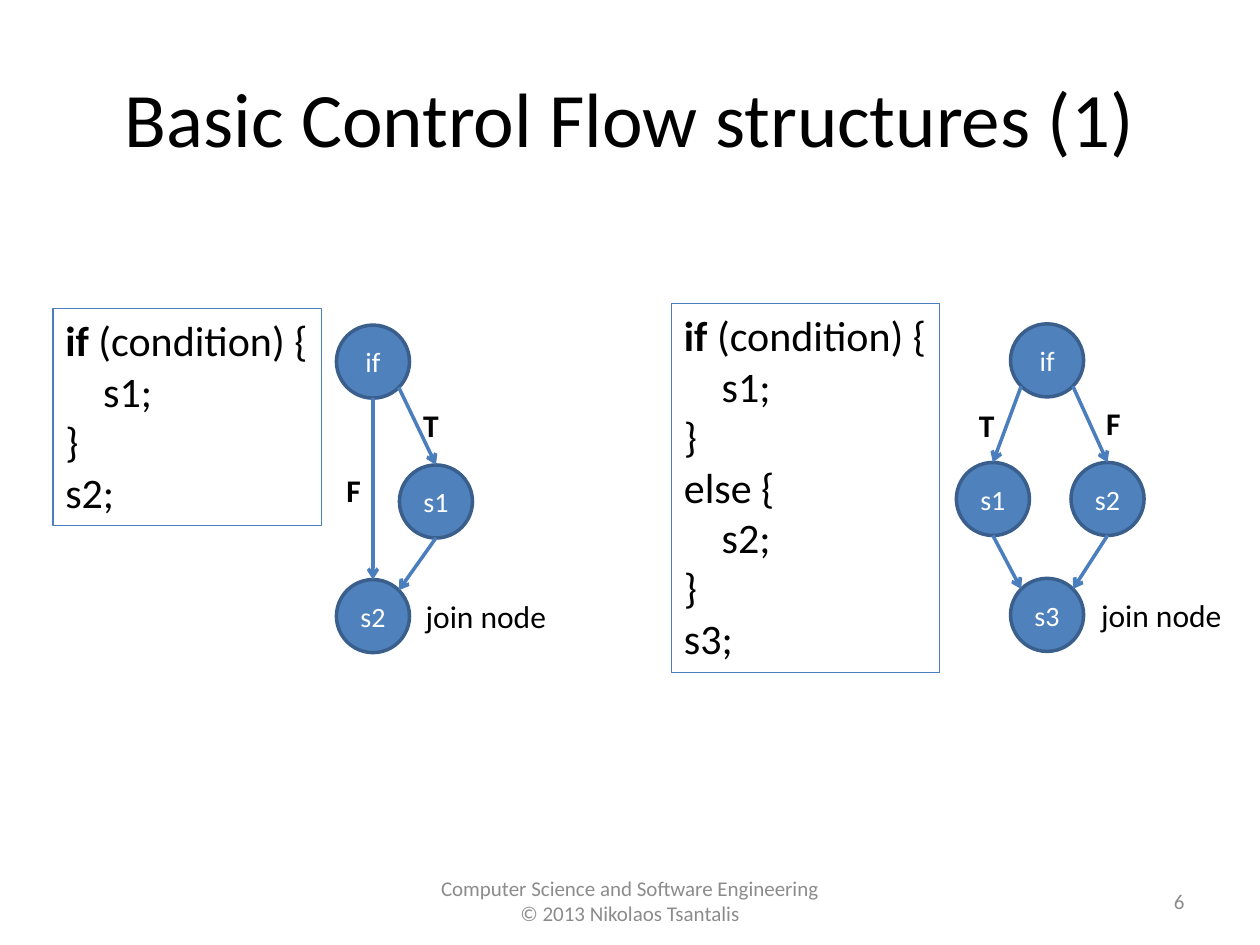
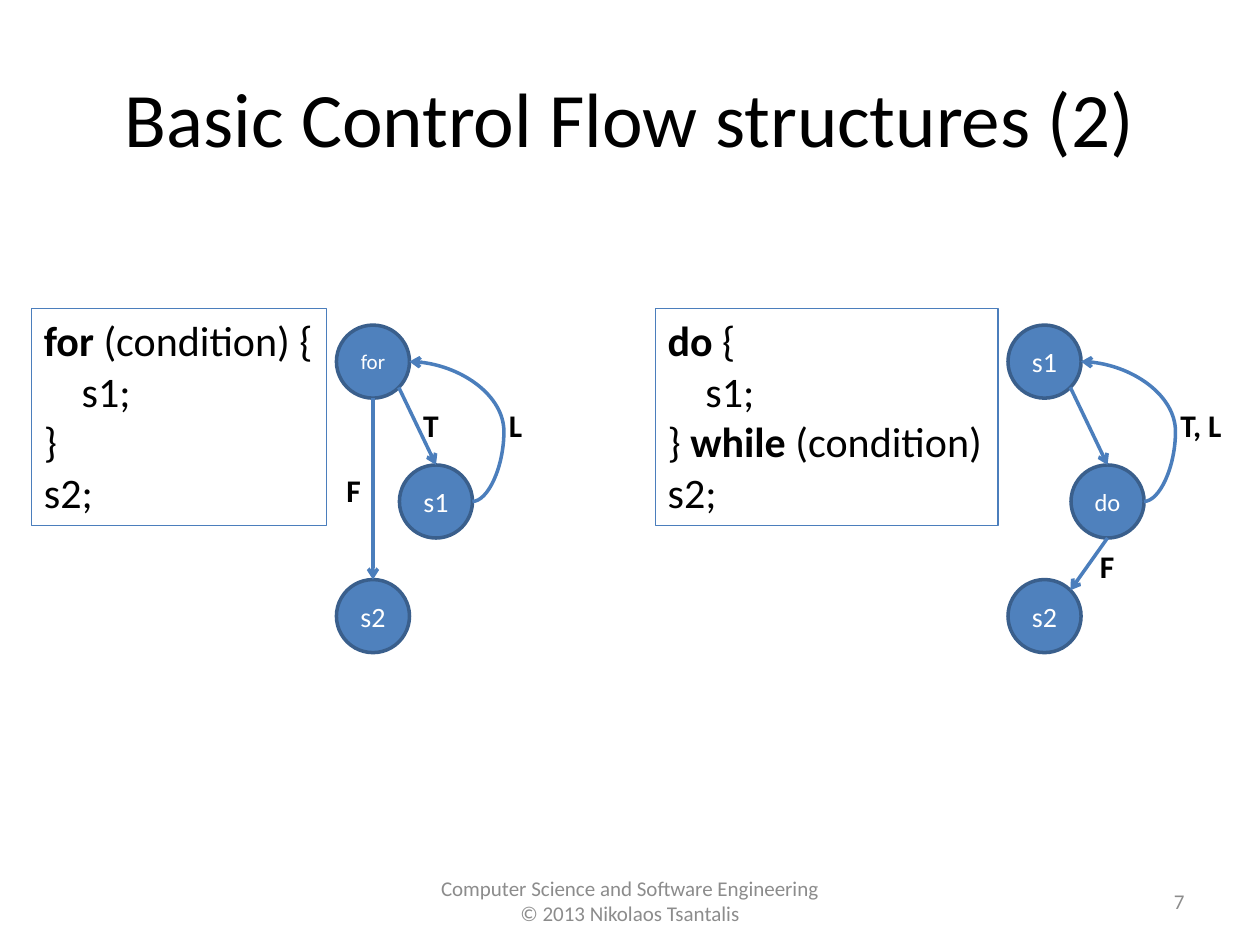
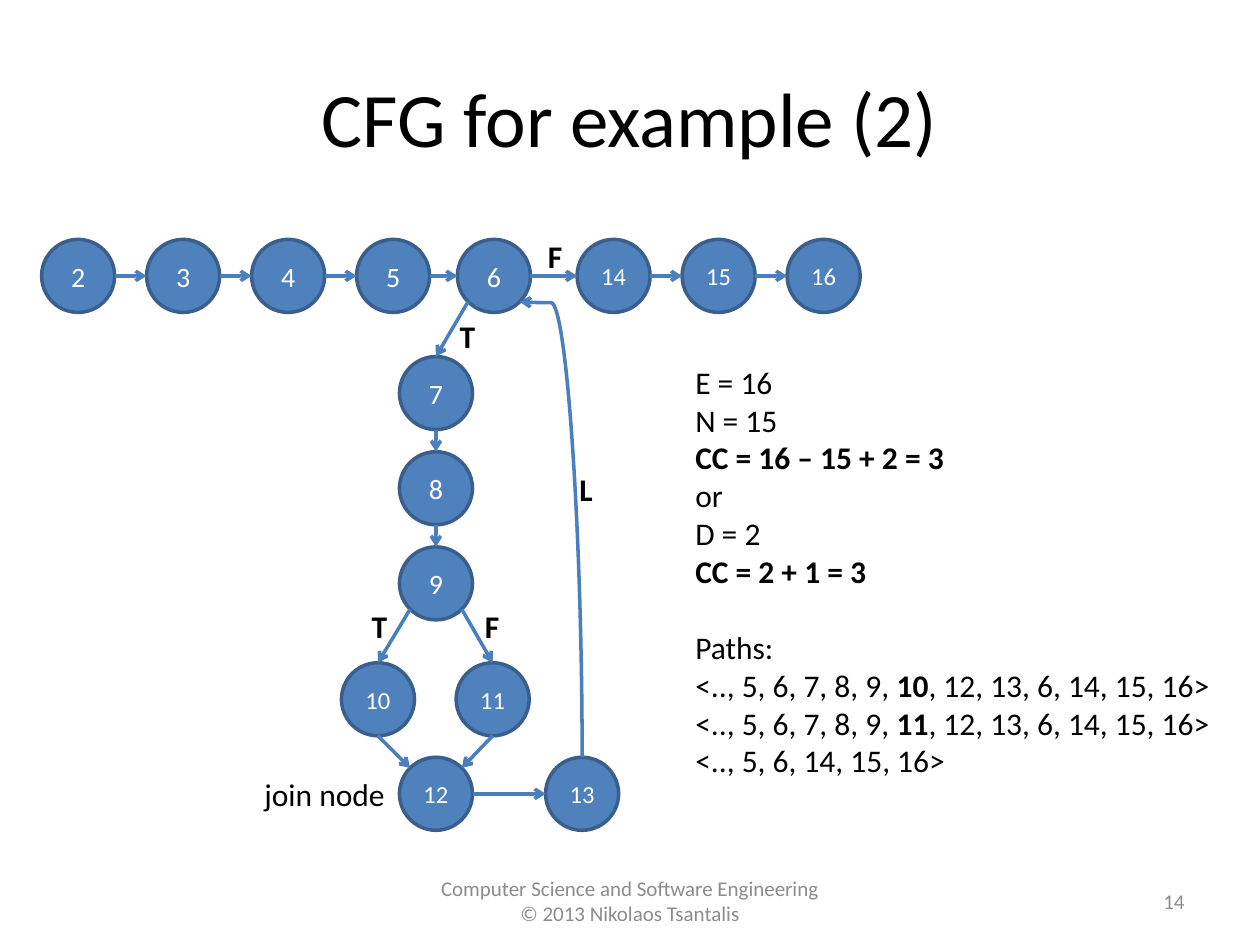
from dataclasses import dataclass, field
from enum import Enum
from itertools import pairwise
from math import sqrt
from typing import NamedTuple

from lxml.etree import SubElement
from pptx import Presentation
from pptx.dml.color import RGBColor
from pptx.enum.shapes import MSO_CONNECTOR, MSO_SHAPE
from pptx.enum.text import MSO_ANCHOR, MSO_AUTO_SIZE, PP_ALIGN
from pptx.oxml.ns import qn
from pptx.shapes.connector import Connector
from pptx.slide import Slide
from pptx.text.text import TextFrame
from pptx.util import Inches, Pt

BLACK = RGBColor(0x00, 0x00, 0x00)
WHITE = RGBColor(0xFF, 0xFF, 0xFF)
GRAY = RGBColor(0x8C, 0x8C, 0x8C)
NODE_FILL = RGBColor(0x4F, 0x81, 0xBD)
NODE_LINE = RGBColor(0x3A, 0x5F, 0x8C)
EDGE_COLOR = RGBColor(0x4B, 0x7E, 0xBC)
FONT = "Calibri"
DIAMETER = 0.58
CODE_INDENT = 0.3
DIAGONAL = sqrt(0.5)
FOOTER = ("Computer Science and Software Engineering", "© 2013 Nikolaos Tsantalis")


class Site(Enum):
    TOP = (0, -1)
    BOTTOM = (0, 1)
    LEFT = (-1, 0)
    RIGHT = (1, 0)
    BOTTOM_LEFT = (-DIAGONAL, DIAGONAL)
    BOTTOM_RIGHT = (DIAGONAL, DIAGONAL)
    TOP_LEFT = (-DIAGONAL, -DIAGONAL)
    TOP_RIGHT = (DIAGONAL, -DIAGONAL)


class Box(NamedTuple):
    left: float
    top: float
    width: float
    height: float


class Line(NamedTuple):
    text: str
    indent: float = 0
    space_before: float = 0


class Node(NamedTuple):
    label: str
    left: float
    top: float
    size: int = 16

    def point(self, site: Site) -> tuple[float, float]:
        radius = DIAMETER / 2
        across, down = site.value
        return self.left + radius * (1 + across), self.top + radius * (1 + down)


class Edge(NamedTuple):
    start: str
    start_site: Site
    end: str
    end_site: Site
    bend: float | None = None
    leaves_upward: bool = False


class Label(NamedTuple):
    text: str
    left: float
    top: float
    width: float = 0.32


class Code(NamedTuple):
    box: Box
    lines: list[Line]


@dataclass
class FlowSlide:
    title: str
    number: int
    nodes: list[list[Node]]
    edges: list[list[Edge]]
    labels: list[Label]
    codes: list[Code] = field(default_factory=list)
    results: list[Line] = field(default_factory=list)


def write(frame: TextFrame, lines: list[Line], size: int, color: RGBColor = BLACK,
          align: PP_ALIGN = PP_ALIGN.LEFT) -> None:
    for index, line in enumerate(lines):
        paragraph = frame.paragraphs[0] if index == 0 else frame.add_paragraph()
        paragraph.alignment = align
        paragraph.font.name = FONT
        paragraph.font.size = Pt(size)
        paragraph.font.color.rgb = color
        if line.space_before:
            paragraph.space_before = Pt(line.space_before)
        if line.indent:
            properties = paragraph._p.get_or_add_pPr()
            properties.set("marL", str(Inches(line.indent)))
            properties.set("indent", "0")
        for position, text in enumerate(line.text.split("**")):
            if text:
                run = paragraph.add_run()
                run.text = text
                run.font.bold = position % 2 == 1


def add_text(slide: Slide, box: Box, lines: list[Line], size: int, color: RGBColor = BLACK,
             align: PP_ALIGN = PP_ALIGN.LEFT, anchor: MSO_ANCHOR = MSO_ANCHOR.TOP,
             wrap: bool = True, outlined: bool = False) -> None:
    shape = slide.shapes.add_textbox(*map(Inches, box))
    frame = shape.text_frame
    frame.word_wrap = wrap
    frame.vertical_anchor = anchor
    if anchor == MSO_ANCHOR.TOP:
        frame.auto_size = MSO_AUTO_SIZE.SHAPE_TO_FIT_TEXT
    if outlined:
        shape.line.color.rgb = EDGE_COLOR
        shape.line.width = Pt(0.75)
    write(frame, lines, size, color, align)


def add_node(slide: Slide, node: Node) -> None:
    shape = slide.shapes.add_shape(
        MSO_SHAPE.OVAL, Inches(node.left), Inches(node.top), Inches(DIAMETER), Inches(DIAMETER))
    shape.shadow.inherit = False
    shape.fill.solid()
    shape.fill.fore_color.rgb = NODE_FILL
    shape.line.color.rgb = NODE_LINE
    shape.line.width = Pt(2)
    shape.text_frame.word_wrap = False
    shape.text_frame.vertical_anchor = MSO_ANCHOR.MIDDLE
    write(shape.text_frame, [Line(node.label)], node.size, WHITE, PP_ALIGN.CENTER)


def style_arrow(connector: Connector) -> None:
    connector.line.color.rgb = EDGE_COLOR
    connector.line.width = Pt(2)
    properties = connector._element.spPr
    SubElement(properties.find(qn("a:ln")), qn("a:tailEnd"), type="arrow")
    SubElement(properties, qn("a:effectLst"))


def add_edge(slide: Slide, edge: Edge, nodes: dict[str, Node]) -> None:
    start = nodes[edge.start].point(edge.start_site)
    end = nodes[edge.end].point(edge.end_site)
    if edge.leaves_upward:
        center_x, center_y = (start[0] + end[0]) / 2, (start[1] + end[1]) / 2
        half_x, half_y = (start[0] - end[0]) / 2, (start[1] - end[1]) / 2
        start = center_x - half_y, center_y + half_x
        end = center_x + half_y, center_y - half_x
    kind = MSO_CONNECTOR.STRAIGHT if edge.bend is None else MSO_CONNECTOR.CURVE
    connector = slide.shapes.add_connector(kind, *map(Inches, start + end))
    style_arrow(connector)
    properties = connector._element.spPr
    if edge.leaves_upward:
        properties.find(qn("a:xfrm")).set("rot", str(270 * 60000))
    if edge.bend is not None:
        geometry = properties.find(qn("a:prstGeom"))
        adjustments = geometry.find(qn("a:avLst"))
        if adjustments is None:
            adjustments = SubElement(geometry, qn("a:avLst"))
        SubElement(adjustments, qn("a:gd"), name="adj1", fmla=f"val {round(edge.bend * 100000)}")


def add_flow_slide(presentation: Presentation, content: FlowSlide) -> None:
    slide = presentation.slides.add_slide(presentation.slide_layouts[6])
    middle = MSO_ANCHOR.MIDDLE
    add_text(slide, Box(0, 6.95, 10, 0.4), [Line(text) for text in FOOTER], 12, GRAY,
             PP_ALIGN.CENTER, middle)
    add_text(slide, Box(0.5, 0.3, 9, 1.25), [Line(content.title)], 44, BLACK,
             PP_ALIGN.CENTER, middle)
    for code in content.codes:
        add_text(slide, code.box, code.lines, 24, wrap=False, outlined=True)
    for graph_nodes, graph_edges in zip(content.nodes, content.edges):
        nodes = {node.label: node for node in graph_nodes}
        for node in graph_nodes:
            add_node(slide, node)
        for edge in graph_edges:
            add_edge(slide, edge, nodes)
    for label in content.labels:
        add_text(slide, Box(label.left, label.top, label.width, 0.4), [Line(label.text)], 18,
                 wrap=False)
    if content.results:
        add_text(slide, Box(5.42, 2.83, 4.5, 3.43), content.results, 18)
    add_text(slide, Box(7.17, 6.95, 2.33, 0.4), [Line(str(content.number))], 12, GRAY,
             PP_ALIGN.RIGHT, middle)


def chain(labels: list[str], start_site: Site, end_site: Site) -> list[Edge]:
    return [Edge(start, start_site, end, end_site) for start, end in pairwise(labels)]


def statement(name: str) -> Line:
    return Line(f"{name};", CODE_INDENT)


def branch_nodes(first: Node, side: Node, last: str) -> list[Node]:
    return [first, side, Node(last, first.left, first.top + 2.02)]


def right_branch(first: str, side: str) -> Edge:
    return Edge(first, Site.BOTTOM_RIGHT, side, Site.TOP)


def left_branch(first: str, side: str) -> Edge:
    return Edge(first, Site.BOTTOM_LEFT, side, Site.TOP)


def join_from_right(side: str, last: str) -> Edge:
    return Edge(side, Site.BOTTOM, last, Site.TOP_RIGHT)


def join_from_left(side: str, last: str) -> Edge:
    return Edge(side, Site.BOTTOM, last, Site.TOP_LEFT)


def skip(first: str, last: str) -> Edge:
    return Edge(first, Site.BOTTOM, last, Site.TOP)


def loop_back(side: str, first: str) -> Edge:
    return Edge(side, Site.RIGHT, first, Site.RIGHT, bend=-0.5)


CONDITIONALS = FlowSlide(
    title="Basic Control Flow structures (1)",
    number=6,
    codes=[
        Code(Box(0.42, 2.45, 2.13, 1.72),
             [Line("**if** (condition) {"), statement("s1"), Line("}"), Line("s2;")]),
        Code(Box(5.33, 2.41, 2.13, 2.93),
             [Line("**if** (condition) {"), statement("s1"), Line("}"), Line("else {"),
              statement("s2"), Line("}"), Line("s3;")]),
    ],
    nodes=[
        branch_nodes(Node("if", 2.67, 2.58), Node("s1", 3.17, 3.69), "s2"),
        branch_nodes(Node("if", 8.02, 2.57), Node("s2", 8.5, 3.67), "s3")
        + [Node("s1", 7.59, 3.67)],
    ],
    edges=[
        [right_branch("if", "s1"), skip("if", "s2"), join_from_right("s1", "s2")],
        [right_branch("if", "s2"), join_from_right("s2", "s3"),
         left_branch("if", "s1"), join_from_left("s1", "s3")],
    ],
    labels=[
        Label("**T**", 3.26, 3.17), Label("**F**", 2.65, 3.69),
        Label("join node", 3.28, 4.69, 1.19),
        Label("**F**", 8.68, 3.16), Label("**T**", 7.67, 3.17),
        Label("join node", 8.64, 4.68, 1.19),
    ],
)

LOOPS = FlowSlide(
    title="Basic Control Flow structures (2)",
    number=7,
    codes=[
        Code(Box(0.25, 2.45, 2.34, 1.72),
             [Line("**for** (condition) {"), statement("s1"), Line("}"), Line("s2;")]),
        Code(Box(5.2, 2.45, 2.72, 1.72),
             [Line("**do** {"), statement("s1"), Line("} **while** (condition)"), Line("s2;")]),
    ],
    nodes=[
        branch_nodes(Node("for", 2.67, 2.58, 12), Node("s1", 3.17, 3.69), "s2"),
        branch_nodes(Node("s1", 8, 2.58), Node("do", 8.5, 3.69, 14), "s2"),
    ],
    edges=[
        [right_branch("for", "s1"), skip("for", "s2"), loop_back("s1", "for")],
        [right_branch("s1", "do"), join_from_right("do", "s2"), loop_back("do", "s1")],
    ],
    labels=[
        Label("**T**", 3.26, 3.17), Label("**F**", 2.65, 3.69), Label("**L**", 3.94, 3.17, 0.31),
        Label("**F**", 8.63, 4.29), Label("**T, L**", 9.27, 3.17, 0.53),
    ],
)

ROW_TOP = 1.9
COLUMN_LEFT = 3.17
EXAMPLE = FlowSlide(
    title="CFG for example (2)",
    number=14,
    nodes=[
        [Node(str(2 + index), 0.33 + index * 2.5 / 3, ROW_TOP) for index in range(4)]
        + [Node("6", 3.63, ROW_TOP)]
        + [Node(str(14 + index), 4.58 + index * 2.5 / 3, ROW_TOP, 14) for index in range(3)]
        + [Node(str(7 + index), COLUMN_LEFT, 2.83 + index * 0.755) for index in range(3)]
        + [Node("10", 2.71, 5.26, 14), Node("11", 3.62, 5.26, 14),
           Node("12", COLUMN_LEFT, 6.01, 14), Node("13", 4.33, 6.01, 14)],
    ],
    edges=[
        chain(["2", "3", "4", "5", "6", "14", "15", "16"], Site.RIGHT, Site.LEFT)
        + chain(["7", "8", "9"], Site.BOTTOM, Site.TOP)
        + chain(["12", "13"], Site.RIGHT, Site.LEFT)
        + [left_branch("6", "7"), left_branch("9", "10"), right_branch("9", "11"),
           join_from_left("10", "12"), join_from_right("11", "12"),
           Edge("13", Site.TOP, "6", Site.BOTTOM_RIGHT, bend=0.998, leaves_upward=True)],
    ],
    labels=[
        Label("join node", 2, 6.1, 1.19), Label("**T**", 3.55, 2.47), Label("**F**", 3.75, 4.77),
        Label("**T**", 2.85, 4.77), Label("**L**", 4.5, 3.68, 0.31), Label("**F**", 4.25, 1.83),
    ],
    results=[
        Line("E = 16"), Line("N = 15"), Line("**CC = 16 – 15 + 2 = 3**"), Line("or"),
        Line("D = 2"), Line("**CC = 2 + 1 = 3**"), Line("Paths:", space_before=22),
        *(Line(f"<.., 5, 6, 7, 8, 9, **{turn}**, 12, 13, 6, 14, 15, 16>") for turn in (10, 11)),
        Line("<.., 5, 6, 14, 15, 16>"),
    ],
)


def main() -> None:
    presentation = Presentation()
    presentation.slide_width = Inches(10)
    presentation.slide_height = Inches(7.5)
    for content in (CONDITIONALS, LOOPS, EXAMPLE):
        add_flow_slide(presentation, content)
    presentation.save("out.pptx")


main()
